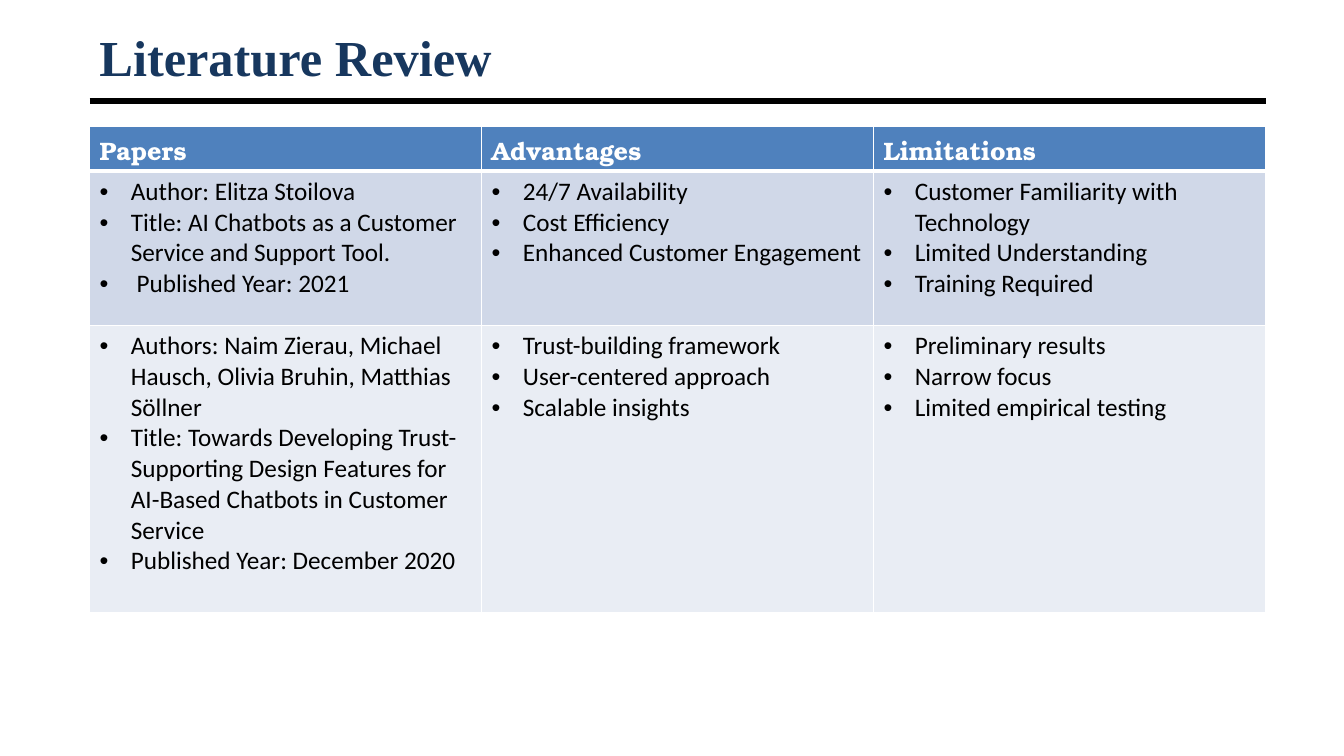
from dataclasses import dataclass

from lxml.etree import SubElement
from pptx import Presentation
from pptx.dml.color import RGBColor
from pptx.enum.shapes import MSO_CONNECTOR
from pptx.enum.text import MSO_ANCHOR
from pptx.oxml.ns import qn
from pptx.slide import Slide
from pptx.table import _Cell
from pptx.text.text import _Paragraph
from pptx.util import Inches, Length, Pt

SLIDE_WIDTH, SLIDE_HEIGHT = 13.33, 7.5

# Shares of the slide's width and height
CONTENT_LEFT, CONTENT_WIDTH = 1 / 15, 7 / 8
TITLE_TOP, TITLE_HEIGHT = 0.04, 0.07
RULE_TOP = 2 / 15
TABLE_TOP = 1 / 6
ROW_HEIGHTS = (0.06, 0.204, 0.38)

BULLET_INDENT = Inches(0.31)


@dataclass(frozen=True)
class TextStyle:
    font: str
    size: int
    color: str
    bold: bool = False


@dataclass(frozen=True)
class ReviewRow:
    fill: str
    style: TextStyle
    cells: tuple[tuple[str, ...], ...]
    bulleted: bool = True
    bottom_border: int = 1


TITLE_STYLE = TextStyle("Times New Roman", 36, "17375E", bold=True)
HEADING_STYLE = TextStyle("TeX Gyre Bonum", 18, "FFFFFF", bold=True)
BODY_STYLE = TextStyle("Calibri", 18, "000000")

REVIEW = (
    ReviewRow("4F81BD", HEADING_STYLE,
              (("Papers",), ("Advantages",), ("Limitations",)),
              bulleted=False, bottom_border=3),
    ReviewRow("D0D8E8", BODY_STYLE, (
        ("Author: Elitza Stoilova",
         "Title: AI Chatbots as a Customer Service and Support Tool.",
         " Published Year: 2021"),
        ("24/7 Availability", "Cost Efficiency", "Enhanced Customer Engagement"),
        ("Customer Familiarity with Technology", "Limited Understanding",
         "Training Required"),
    )),
    ReviewRow("E9EDF4", BODY_STYLE, (
        ("Authors: Naim Zierau, Michael Hausch, Olivia Bruhin, Matthias Söllner",
         "Title: Towards Developing Trust-Supporting Design Features for "
         "AI-Based Chatbots in Customer Service",
         "Published Year: December 2020"),
        ("Trust-building framework", "User-centered approach", "Scalable insights"),
        ("Preliminary results", "Narrow focus", "Limited empirical testing"),
    )),
)


def across(share: float) -> Length:
    return Inches(SLIDE_WIDTH * share)


def down(share: float) -> Length:
    return Inches(SLIDE_HEIGHT * share)


def rgb(color: str) -> RGBColor:
    return RGBColor.from_string(color)


def style_paragraph(paragraph: _Paragraph, style: TextStyle) -> None:
    for run in paragraph.runs:
        run.font.name = style.font
        run.font.size = Pt(style.size)
        run.font.bold = style.bold
        run.font.color.rgb = rgb(style.color)


def add_bullet(paragraph: _Paragraph) -> None:
    properties = paragraph._p.get_or_add_pPr()
    properties.set("marL", str(BULLET_INDENT))
    properties.set("indent", str(-BULLET_INDENT))
    SubElement(properties, qn("a:buFont"), typeface="Arial")
    SubElement(properties, qn("a:buChar"), char="•")


def add_borders(cell: _Cell, bottom: int, top: int) -> None:
    properties = cell._tc.get_or_add_tcPr()
    for side, width in (("L", 1), ("R", 1), ("T", top), ("B", bottom)):
        border = SubElement(properties, qn(f"a:ln{side}"), w=str(Pt(width)))
        SubElement(SubElement(border, qn("a:solidFill")), qn("a:srgbClr"), val="FFFFFF")


def add_title(slide: Slide, text: str) -> None:
    title = slide.shapes.add_textbox(across(CONTENT_LEFT), down(TITLE_TOP),
                                     across(CONTENT_WIDTH), down(TITLE_HEIGHT))
    frame = title.text_frame
    frame.text = text
    frame.word_wrap = True
    frame.vertical_anchor = MSO_ANCHOR.MIDDLE
    frame.margin_top = frame.margin_bottom = 0
    style_paragraph(frame.paragraphs[0], TITLE_STYLE)


def add_title_rule(slide: Slide) -> None:
    rule = slide.shapes.add_connector(
        MSO_CONNECTOR.STRAIGHT, across(CONTENT_LEFT), down(RULE_TOP),
        across(CONTENT_LEFT + CONTENT_WIDTH), down(RULE_TOP))
    rule.line.color.rgb = rgb("000000")
    rule.line.width = Pt(4.5)
    SubElement(rule._element.spPr, qn("a:effectLst"))


def fill_cell(cell: _Cell, lines: tuple[str, ...], row: ReviewRow, top: int) -> None:
    add_borders(cell, row.bottom_border, top)
    cell.fill.solid()
    cell.fill.fore_color.rgb = rgb(row.fill)
    cell.text_frame.text = "\n".join(lines)
    for paragraph in cell.text_frame.paragraphs:
        style_paragraph(paragraph, row.style)
        if row.bulleted:
            add_bullet(paragraph)


def add_review_table(slide: Slide, rows: tuple[ReviewRow, ...]) -> None:
    column_count = len(rows[0].cells)
    review = slide.shapes.add_table(
        len(rows), column_count, across(CONTENT_LEFT), down(TABLE_TOP),
        across(CONTENT_WIDTH), down(sum(ROW_HEIGHTS))).table
    for column in review.columns:
        column.width = across(CONTENT_WIDTH / column_count)
    top_border = 1
    for row_index, (row, height) in enumerate(zip(rows, ROW_HEIGHTS)):
        review.rows[row_index].height = down(height)
        for column_index, lines in enumerate(row.cells):
            fill_cell(review.cell(row_index, column_index), lines, row, top_border)
        top_border = row.bottom_border


def main() -> None:
    presentation = Presentation()
    presentation.slide_width = Inches(SLIDE_WIDTH)
    presentation.slide_height = Inches(SLIDE_HEIGHT)
    slide = presentation.slides.add_slide(presentation.slide_layouts[6])

    # Heading with its rule
    add_title_rule(slide)
    add_title(slide, "Literature Review")

    # Reviewed papers
    add_review_table(slide, REVIEW)

    presentation.save("out.pptx")


if __name__ == "__main__":
    main()
